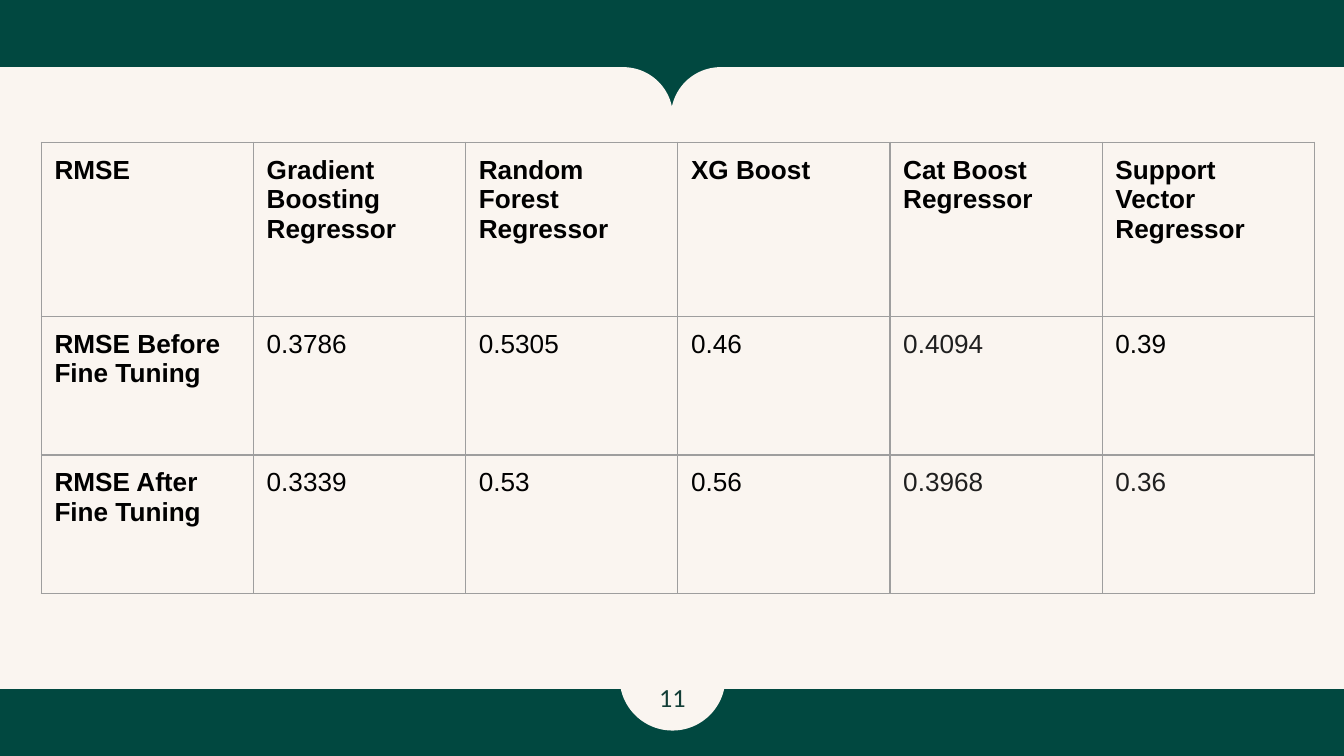
from dataclasses import dataclass

from lxml.etree import SubElement
from pptx import Presentation
from pptx.dml.color import RGBColor as Rgb
from pptx.enum.shapes import MSO_SHAPE as Kind
from pptx.enum.text import MSO_ANCHOR as Anchor, PP_ALIGN as Align
from pptx.oxml.ns import qn
from pptx.slide import Slide
from pptx.util import Cm, Pt

HUES = {"green": "014840", "cream": "FAF5F0", "page": "133E37",
        "black": "000000", "ink": "1F1F1F", "rule": "9E9E9E"}
INSET = Cm(0.25)
WIDTH = 4.01
ROWS = [3.29, 2.62, 2.62]
TEXTS = [
    ["RMSE", "Gradient Boosting Regressor", "Random Forest Regressor",
     "XG Boost", "Cat Boost Regressor", "Support Vector Regressor"],
    ["RMSE Before Fine Tuning", "0.3786", "0.5305", "0.46", "0.4094", "0.39"],
    ["RMSE After Fine Tuning", "0.3339", "0.53", "0.56", "0.3968", "0.36"],
]
INKED = {(1, 4), (2, 4), (2, 5)}


@dataclass
class Panel:
    """A cream shape of the frame, in centimetres."""
    kind: Kind
    left: float
    top: float
    width: float
    height: float
    flip: bool = False


PANELS = [
    Panel(Kind.ROUND_1_RECTANGLE, 12.68, 1.27, 12.72, 11.75, True),
    Panel(Kind.ROUND_1_RECTANGLE, 0, 1.27, 12.72, 11.75),
    Panel(Kind.OVAL, 11.71, 11.81, 2, 2),
]


def hue(name: str) -> Rgb:
    """Look up a colour."""
    return Rgb.from_string(HUES[name])


def style(para, face: str, tint: str, bold: bool = False) -> None:
    """Set the font of a paragraph."""
    font = para.font
    font.name, font.size, font.bold = face, Pt(14), bold
    font.color.rgb = hue(tint)


def pad(box) -> None:
    """Give a cell or text frame equal margins."""
    box.margin_left = box.margin_right = INSET
    box.margin_top = box.margin_bottom = INSET


def add_panel(slide: Slide, panel: Panel) -> None:
    """Draw one cream shape."""
    shape = slide.shapes.add_shape(
        panel.kind, Cm(panel.left), Cm(panel.top), Cm(panel.width), Cm(panel.height))
    shape.shadow.inherit = False
    shape.fill.solid()
    shape.fill.fore_color.rgb = hue("cream")
    shape.line.fill.background()
    if panel.kind == Kind.ROUND_1_RECTANGLE:
        shape.adjustments[0] = 0.08
    if panel.flip:
        shape._element.spPr.find(qn("a:xfrm")).set("flipH", "1")


def add_page(slide: Slide, label: str) -> None:
    """Write the page number."""
    box = slide.shapes.add_textbox(Cm(11.71), Cm(12.6), Cm(2), Cm(1.17))
    frame = box.text_frame
    frame.word_wrap = True
    frame.vertical_anchor = Anchor.MIDDLE
    pad(frame)
    para = frame.paragraphs[0]
    para.text, para.alignment = label, Align.CENTER
    style(para, "Calibri", "page")


def rule_cell(cell) -> None:
    """Put a thin line on each side of a cell."""
    props = cell._tc.get_or_add_tcPr()
    for spot, side in enumerate("LRTB"):
        line = SubElement(props, qn(f"a:ln{side}"), w=str(Pt(0.75)))
        fill = SubElement(line, qn("a:solidFill"))
        SubElement(fill, qn("a:srgbClr"), val=HUES["rule"])
        props.insert(spot, line)


def add_grid(slide: Slide) -> None:
    """Build the table of scores."""
    count = len(TEXTS[0])
    grid = slide.shapes.add_table(len(ROWS), count, Cm(0.78), Cm(2.69),
                                  Cm(WIDTH * count), Cm(sum(ROWS))).table
    grid.first_row = grid.horz_banding = False
    for col in grid.columns:
        col.width = Cm(WIDTH)
    for r, (tall, texts) in enumerate(zip(ROWS, TEXTS)):
        grid.rows[r].height = Cm(tall)
        for c, text in enumerate(texts):
            cell = grid.cell(r, c)
            cell.text = text
            cell.fill.background()
            pad(cell)
            rule_cell(cell)
            tint = "ink" if (r, c) in INKED else "black"
            style(cell.text_frame.paragraphs[0], "Arial", tint, r == 0 or c == 0)


def main() -> None:
    """Build and save the slide."""
    deck = Presentation()
    deck.slide_width, deck.slide_height = Cm(25.4), Cm(14.29)
    slide = deck.slides.add_slide(deck.slide_layouts[6])
    slide.background.fill.solid()
    slide.background.fill.fore_color.rgb = hue("green")
    for panel in PANELS:
        add_panel(slide, panel)
    add_page(slide, "11")
    add_grid(slide)
    deck.save("out.pptx")


if __name__ == "__main__":
    main()
